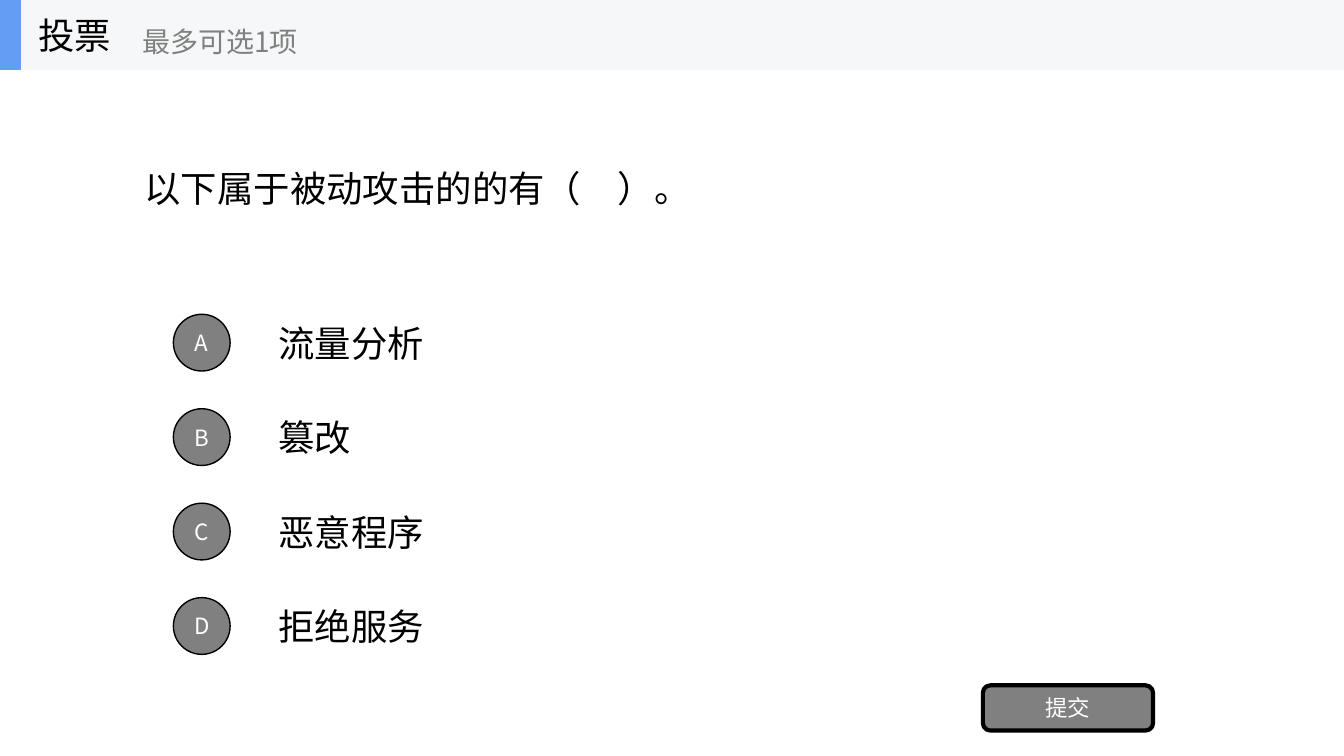
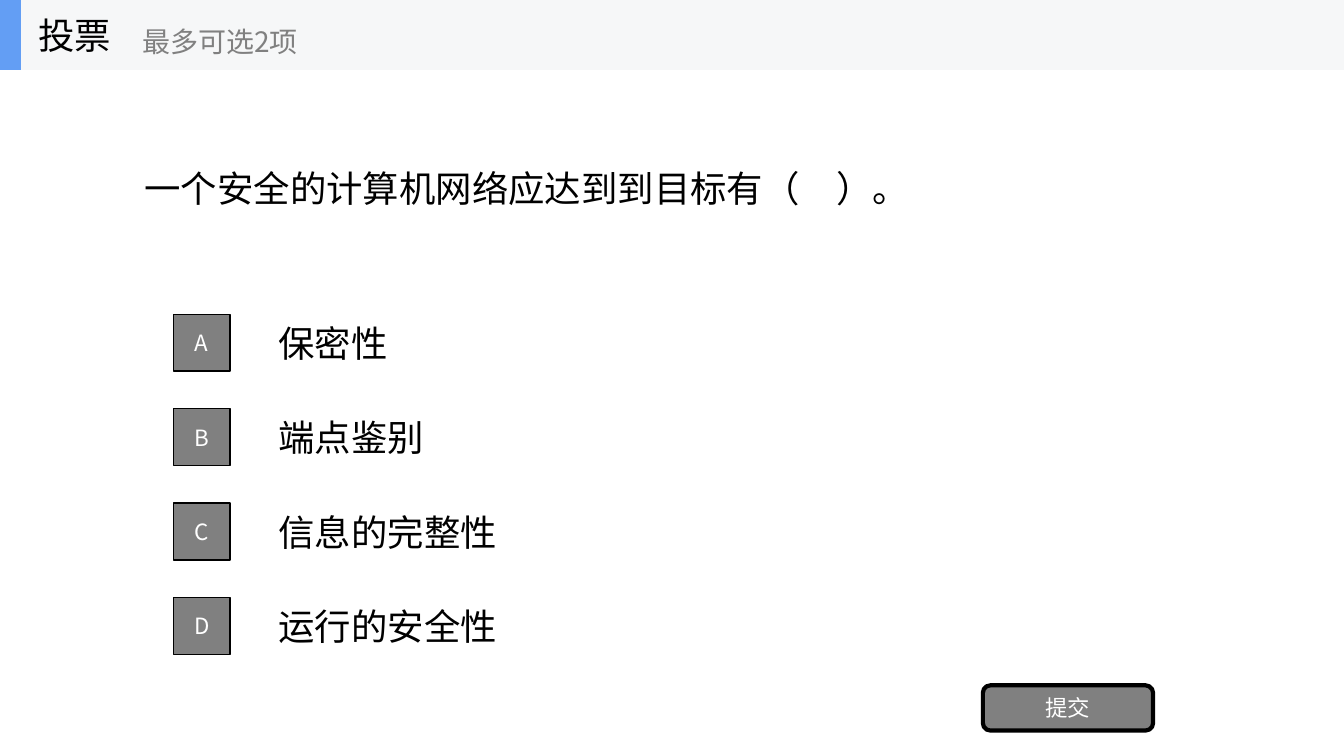
from dataclasses import dataclass
from typing import Any

from lxml.etree import SubElement
from pptx import Presentation
from pptx.dml.color import RGBColor
from pptx.enum.shapes import MSO_SHAPE as Preset
from pptx.enum.text import MSO_ANCHOR as Anchor, PP_ALIGN as Align
from pptx.oxml.ns import qn
from pptx.util import Cm, Pt

FONT = "Noto Sans CJK SC"
BLACK, WHITE, GREY = "000000", "FFFFFF", "808080"
BAND, ACCENT = "F6F7F8", "639EF4"

PAGE_WIDTH, PAGE_HEIGHT = 33.87, 19.05
BAND_HEIGHT = 1.76
OPTION_TOP, OPTION_HEIGHT, OPTION_PITCH = 7.74, 1.79, 2.38
BADGE_SIZE = 1.43


@dataclass(frozen=True)
class Area:
    left: float
    top: float
    width: float
    height: float

    def lengths(self) -> tuple[Cm, Cm, Cm, Cm]:
        return Cm(self.left), Cm(self.top), Cm(self.width), Cm(self.height)


@dataclass(frozen=True)
class TextStyle:
    size: int
    colour: str
    align: Align = Align.LEFT


@dataclass(frozen=True)
class Poll:
    question: str
    limit: int
    badge: Preset
    options: tuple[str, ...]


MAIN_TEXT = TextStyle(26, BLACK)
HINT_TEXT = TextStyle(20, GREY)
BUTTON_TEXT = TextStyle(16, WHITE, Align.CENTER)

POLLS = (
    Poll("以下属于被动攻击的的有（　）。", 1, Preset.OVAL,
         ("流量分析", "篡改", "恶意程序", "拒绝服务")),
    Poll("一个安全的计算机网络应达到到目标有（　）。", 2, Preset.RECTANGLE,
         ("保密性", "端点鉴别", "信息的完整性", "运行的安全性")),
)


def colour(value: str) -> RGBColor:
    return RGBColor.from_string(value)


def apply(target: Any, values: dict[str, Any]) -> None:
    for name, value in values.items():
        setattr(target, name, value)


def write(box: Any, text: str, style: TextStyle) -> None:
    apply(box.text_frame, {"word_wrap": True, "vertical_anchor": Anchor.MIDDLE})
    para = box.text_frame.paragraphs[0]
    para.alignment = style.align
    span = para.add_run()
    span.text = text
    apply(span.font, {"name": FONT, "size": Pt(style.size)})
    span.font.color.rgb = colour(style.colour)
    SubElement(span.font._element, qn("a:ea")).set("typeface", FONT)


def add_text(shapes: Any, area: Area, text: str, style: TextStyle) -> None:
    write(shapes.add_textbox(*area.lengths()), text, style)


def add_block(shapes: Any, preset: Preset, area: Area, fill: str) -> Any:
    box = shapes.add_shape(preset, *area.lengths())
    box.shadow.inherit = False
    box.fill.solid()
    box.fill.fore_color.rgb = colour(fill)
    box.line.fill.background()
    return box


def add_button(shapes: Any, preset: Preset, area: Area, text: str, border: int) -> None:
    box = add_block(shapes, preset, area, GREY)
    box.line.color.rgb = colour(BLACK)
    box.line.width = Pt(border)
    apply(box.text_frame, {"margin_left": 0, "margin_right": 0,
                           "margin_top": 0, "margin_bottom": 0})
    write(box, text, BUTTON_TEXT)


def add_header(page: Any, limit: int) -> None:
    shapes = page.shapes.add_group_shape().shapes
    add_block(shapes, Preset.RECTANGLE, Area(0, 0, PAGE_WIDTH, BAND_HEIGHT), BAND)
    add_block(shapes, Preset.RECTANGLE, Area(0, 0, 0.53, BAND_HEIGHT), ACCENT)
    add_text(shapes, Area(0.71, 0, 5.28, BAND_HEIGHT), "投票", MAIN_TEXT)
    add_text(shapes, Area(3.33, 0.32, 6.35, 1.42), f"最多可选{limit}项", HINT_TEXT)


def add_poll(deck: Any, poll: Poll) -> None:
    page = deck.slides.add_slide(deck.slide_layouts[6])
    shapes = page.shapes
    add_text(shapes, Area(3.39, BAND_HEIGHT, 27.09, 5.95), poll.question, MAIN_TEXT)
    for index, (letter, option) in enumerate(zip("ABCD", poll.options)):
        top = OPTION_TOP + index * OPTION_PITCH
        badge_top = top + (OPTION_HEIGHT - BADGE_SIZE) / 2
        add_text(shapes, Area(6.77, top, 23.71, OPTION_HEIGHT), option, MAIN_TEXT)
        add_button(shapes, poll.badge,
                   Area(4.37, badge_top, BADGE_SIZE, BADGE_SIZE), letter, 1)
    add_button(shapes, Preset.ROUNDED_RECTANGLE,
               Area(24.77, 17.27, 4.29, 1.14), "提交", 3)
    add_header(page, poll.limit)


def main() -> None:
    deck = Presentation()
    apply(deck, {"slide_width": Cm(PAGE_WIDTH), "slide_height": Cm(PAGE_HEIGHT)})
    for poll in POLLS:
        add_poll(deck, poll)
    deck.save("out.pptx")


if __name__ == "__main__":
    main()
